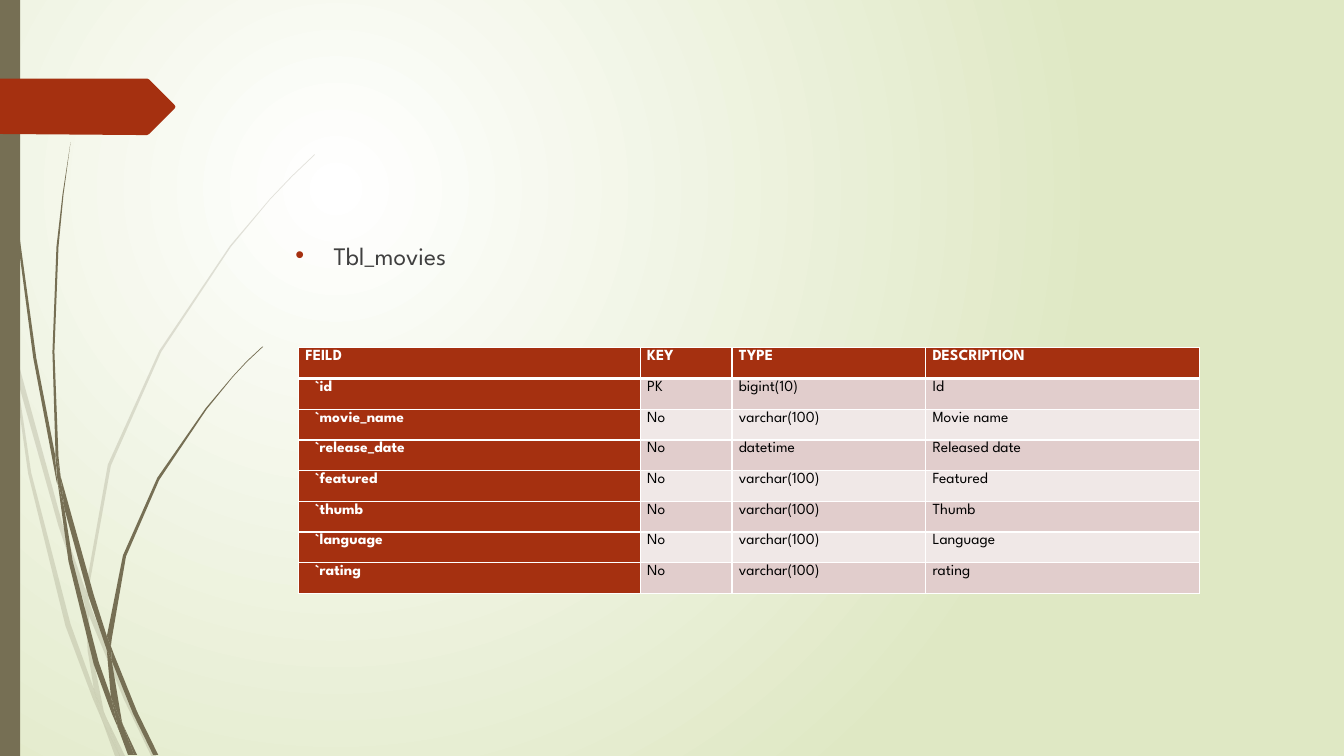
import pptx
import pptx.dml.color
import pptx.enum.text
import pptx.oxml
import pptx.oxml.ns
import pptx.util
from pptx.util import Inches

OLIVE, RED, WHITE, BLACK, GREY = "766F54", "A53010", "FFFFFF", "000000", "404040"
BANDS = ["E1CDCC", "F0E8E7"]

# Outlines of the grass blades, in inches
PALE_BLADES = [
    [(0.11, 3.5), (0.09, 3.22), (0, 2.82), (0, 2.99), (0.1, 3.44)],
    [(0.58, 5.22), (0.84, 5.99), (0.85, 5.86), (0.62, 5.2), (0.14, 3.45), (0.17, 3.76)],
    [(0.92, 6.07), (0.88, 5.96), (0.88, 6.1), (1.23, 6.94), (1.5, 7.5), (1.55, 7.5),
     (1.27, 6.92)],
    [(1.19, 7.5), (1.24, 7.5), (1.05, 7.11)],
    [(0.93, 6.83), (0.7, 6.19), (0.31, 4.69), (0.17, 3.76), (0.11, 3.5), (0.28, 4.7),
     (0.65, 6.21), (0.92, 6.93), (1.01, 7.14), (0.99, 7.07)],
    [(0.84, 5.99), (0.87, 6.46), (0.93, 6.83), (0.96, 6.92), (1.05, 7.11), (1.03, 7.06),
     (0.91, 6.46), (0.88, 6.1), (0.88, 6.08)],
    [(0.88, 5.84), (1.1, 4.62), (1.6, 3.49), (2.29, 2.45), (2.68, 1.98), (2.9, 1.75),
     (3.12, 1.54), (3.12, 1.53), (2.89, 1.75), (2.68, 1.97), (2.28, 2.44), (1.58, 3.48),
     (1.07, 4.61), (0.85, 5.84), (0.85, 5.86), (0.88, 5.96)],
    [(1.01, 7.14), (1.14, 7.5), (1.19, 7.5)],
    [(0.88, 6.08), (0.88, 6.1), (0.88, 5.96), (0.85, 5.86), (0.84, 5.99)],
    [(0.96, 6.92), (0.93, 6.83), (0.99, 7.07), (1.01, 7.14), (1.19, 7.5), (1.05, 7.11)],
]
DARK_BLADES = [
    [(0.07, 1.1), (0.17, 2.33), (0.33, 3.55), (0.56, 4.77), (0.57, 4.81), (0.55, 4.57),
     (0.55, 4.53), (0.36, 3.55), (0.19, 2.32), (0.08, 1.09), (0.05, 0.48), (0.04, 0),
     (0.03, 0), (0.04, 0.48)],
    [(0.88, 5.92), (1.06, 6.45), (1.06, 6.31), (0.93, 5.9), (0.6, 4.72), (0.64, 5.05)],
    [(1.13, 6.49), (1.1, 6.41), (1.11, 6.56), (1.32, 7.08), (1.52, 7.49), (1.57, 7.49),
     (1.36, 7.06)],
    [(1.1, 6.91), (0.98, 6.57), (0.72, 5.56), (0.64, 5.05), (0.57, 4.77), (0.68, 5.57),
     (0.93, 6.59), (1.11, 7.08), (1.17, 7.22), (1.16, 7.17)],
    [(0.6, 4.72), (0.58, 4.53), (0.54, 3.49), (0.58, 2.45), (0.63, 1.93), (0.7, 1.41),
     (0.62, 1.93), (0.56, 2.45), (0.52, 3.49), (0.55, 4.49)],
    [(1.33, 7.49), (1.36, 7.49), (1.22, 7.19)],
    [(0.57, 4.77), (0.64, 5.05), (0.6, 4.72), (0.55, 4.49), (0.55, 4.53)],
    [(1.11, 6.33), (1.25, 5.52), (1.58, 4.76), (2.05, 4.06), (2.31, 3.74), (2.45, 3.59),
     (2.61, 3.44), (2.6, 3.44), (2.45, 3.58), (2.31, 3.73), (2.04, 4.05), (1.56, 4.74),
     (1.22, 5.51), (1.06, 6.31), (1.1, 6.41)],
    [(1.17, 7.22), (1.27, 7.49), (1.31, 7.49)],
    [(1.06, 6.45), (1.1, 6.91), (1.16, 7.06), (1.22, 7.19), (1.21, 7.16), (1.11, 6.56),
     (1.09, 6.51)],
    [(1.06, 6.45), (1.09, 6.51), (1.11, 6.56), (1.1, 6.41), (1.06, 6.31)],
    [(1.16, 7.06), (1.1, 6.91), (1.16, 7.17), (1.17, 7.22), (1.3, 7.49), (1.33, 7.49),
     (1.22, 7.19)],
]
RED_TAG = [(0, 0.78), (1.46, 0.78), (1.48, 0.79), (1.73, 1.04), (1.74, 1.06), (1.73, 1.08),
           (1.48, 1.33), (1.46, 1.34), (1.36, 1.34), (0, 1.33)]

MOVIE_COLUMNS = [3.39, 0.91, 1.92, 2.72]
MOVIE_FIELDS = [
    ("FEILD", "KEY", "TYPE", "DESCRIPTION"),
    ("`id", "PK", "bigint(10)", "Id"),
    ("`movie_name", "No", "varchar(100)", "Movie name"),
    ("`release_date", "No", "datetime", "Released date"),
    ("`featured", "No", "varchar(100)", "Featured"),
    ("`thumb", "No", "varchar(100)", "Thumb"),
    ("`language", "No", "varchar(100)", "Language"),
    ("`rating", "No", "varchar(100)", "rating"),
]


def rgb(color):
    return pptx.dml.color.RGBColor.from_string(color)


def element(xml):
    tag, rest = xml.split(" ", 1)
    return pptx.oxml.parse_xml(f"{tag} {pptx.oxml.ns.nsdecls('a')} {rest}")


class SlideBuilder:
    font = "League Spartan"

    def __init__(self, slide):
        self.slide = slide

    def background(self, inner, outer):
        fill = self.slide.background.fill
        fill.gradient()
        for stop, color in zip(fill.gradient_stops, (inner, outer)):
            stop.color.rgb = rgb(color)
        fill.gradient_stops[0].position, fill.gradient_stops[1].position = 0, 1
        linear = self.slide.element.find(".//" + pptx.oxml.ns.qn("a:lin"))
        linear.getparent().replace(linear, element(
            '<a:path path="circle">'
            '<a:fillToRect l="50000" t="50000" r="100000" b="100000"/></a:path>'))

    def paint(self, shape, color, alpha=100):
        shape.shadow.inherit = False
        shape.fill.solid()
        shape.fill.fore_color.rgb = rgb(color)
        shape.line.fill.background()
        if alpha < 100:
            fill_color = shape.element.spPr.find(".//" + pptx.oxml.ns.qn("a:srgbClr"))
            fill_color.append(element(f'<a:alpha val="{alpha * 1000}"/>'))

    def outline(self, points, color, alpha=100, parent=None):
        start, *others = [(Inches(x), Inches(y)) for x, y in points]
        builder = (parent or self.slide).shapes.build_freeform(*start)
        builder.add_line_segments(others)
        self.paint(builder.convert_to_shape(), color, alpha)

    def blades(self, outlines, color, alpha=100):
        group = self.slide.shapes.add_group_shape()
        for points in outlines:
            self.outline(points, color, alpha, group)

    def rectangle(self, left, top, width, height, color):
        shape = self.slide.shapes.add_shape(
            pptx.enum.shapes.MSO_SHAPE.RECTANGLE,
            Inches(left), Inches(top), Inches(width), Inches(height))
        self.paint(shape, color)

    def style_runs(self, paragraph, size, color, bold=False):
        for run in paragraph.runs:
            run.font.name = self.font
            run.font.size = pptx.util.Pt(size)
            run.font.bold = bold
            run.font.color.rgb = rgb(color)

    def bullet(self, text, left, top, width, height):
        box = self.slide.shapes.add_textbox(
            Inches(left), Inches(top), Inches(width), Inches(height))
        box.text_frame.word_wrap = True
        box.text_frame.text = text
        paragraph = box.text_frame.paragraphs[0]
        paragraph.space_before = pptx.util.Pt(10)
        self.style_runs(paragraph, 18, GREY)
        properties = paragraph._p.get_or_add_pPr()
        properties.set("marL", str(Inches(0.38)))
        properties.set("indent", str(-Inches(0.38)))
        properties.append(element(f'<a:buClr ><a:srgbClr val="{RED}"/></a:buClr>'))
        properties.append(element('<a:buFont typeface="Arial"/>'))
        properties.append(element('<a:buChar char="•"/>'))

    def borders(self, cell, bottom):
        properties = cell._tc.get_or_add_tcPr()
        for index, (side, points) in enumerate(
                {"L": 1, "R": 1, "T": 1, "B": bottom}.items()):
            properties.insert(index, element(
                f'<a:ln{side} w="{points * 12700}"><a:solidFill>'
                f'<a:srgbClr val="{WHITE}"/></a:solidFill></a:ln{side}>'))

    def table(self, rows, column_widths, left, top, height):
        table = self.slide.shapes.add_table(
            len(rows), len(column_widths), Inches(left), Inches(top),
            Inches(sum(column_widths)), Inches(height)).table
        for column, width in zip(table.columns, column_widths):
            column.width = Inches(width)
        for row_index, row in enumerate(rows):
            for column_index, text in enumerate(row):
                header = row_index == 0
                heading = header or column_index == 0
                cell = table.cell(row_index, column_index)
                cell.text_frame.text = text
                cell.margin_top = cell.margin_bottom = 0
                cell.margin_left = cell.margin_right = Inches(0.07)
                if column_index == 0 and not header:
                    cell.margin_left = Inches(0.16)
                cell.fill.solid()
                cell.fill.fore_color.rgb = rgb(RED if heading else BANDS[(row_index - 1) % 2])
                paragraph = cell.text_frame.paragraphs[0]
                paragraph.line_spacing = 1.15
                self.style_runs(paragraph, 11, WHITE if heading else BLACK, heading)
                self.borders(cell, 3 if header else 1)


def main():
    presentation = pptx.Presentation()
    presentation.slide_width = Inches(13.33)
    presentation.slide_height = Inches(7.5)
    builder = SlideBuilder(presentation.slides.add_slide(presentation.slide_layouts[6]))

    # Backdrop and decoration
    builder.background(WHITE, "DFE8C4")
    builder.blades(PALE_BLADES, OLIVE, 20)
    builder.blades(DARK_BLADES, OLIVE)
    builder.rectangle(0, 0, 0.2, 7.5, OLIVE)
    builder.outline(RED_TAG, RED)

    # Table name and its fields
    builder.bullet("Tbl_movies", 2.83, 2.33, 9.75, 3.02)
    builder.table(MOVIE_FIELDS, MOVIE_COLUMNS, 2.96, 3.45, 2.44)

    presentation.save("out.pptx")


if __name__ == "__main__":
    main()
